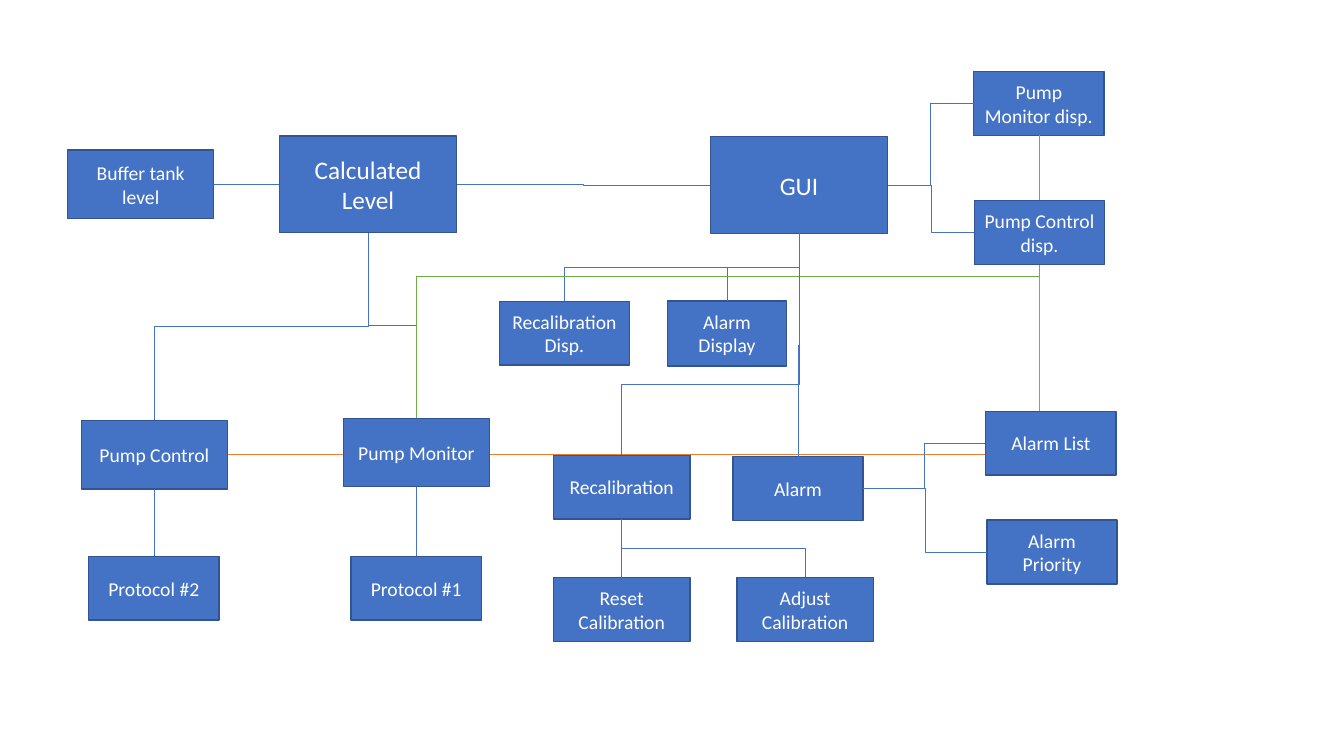
from pptx import Presentation
from pptx.dml.color import RGBColor
from pptx.enum.shapes import MSO_CONNECTOR, MSO_SHAPE
from pptx.enum.text import MSO_ANCHOR, PP_ALIGN
from pptx.oxml.ns import qn
from pptx.util import Inches, Pt
from lxml.etree import SubElement
from dataclasses import dataclass


@dataclass(frozen=True)
class Theme:
    font: str = "Calibri"
    box: str = "4472C4"
    border: str = "325491"
    text: str = "FFFFFF"
    blue: str = "4472C4"
    orange: str = "ED7D31"
    green: str = "70AD47"
    heading_size: int = 18
    label_size: int = 14
    border_width: float = 1
    link_width: float = 0.5


THEME = Theme()
TOP, LEFT, BOTTOM, RIGHT = range(4)

# Box sizes as percentages of the slide's width and height
MAIN, WIDE, SMALL = (13.2, 12.8), (10.88, 9.07), (9.7, 8.44)
CALIBRATION, DISPLAY = (10.15, 8.44), (8.88, 8.6)

# Name: (text, left %, top %, size)
BOXES = {
    "level": ("Calculated Level", 20.78, 18, MAIN),
    "gui": ("GUI", 52.85, 18.08, MAIN),
    "tank": ("Buffer tank\nlevel", 5.03, 19.87, WIDE),
    "alarm display": ("Alarm Display", 49.65, 39.8, DISPLAY),
    "monitor display": ("Pump Monitor disp.", 72.45, 9.47, SMALL),
    "recalibration display": ("Recalibration Disp.", 37.15, 39.87, SMALL),
    "control": ("Pump Control", 6.05, 55.6, WIDE),
    "protocol 1": ("Protocol #1", 26.13, 73.6, SMALL),
    "protocol 2": ("Protocol #2", 6.6, 73.6, SMALL),
    "alarm": ("Alarm", 54.53, 60.4, SMALL),
    "priority": ("Alarm Priority", 73.43, 68.8, SMALL),
    "recalibration": ("Recalibration", 41.18, 60.2, CALIBRATION),
    "reset": ("Reset Calibration", 41.18, 76.4, CALIBRATION),
    "adjust": ("Adjust Calibration", 54.83, 76.4, CALIBRATION),
    "monitor": ("Pump Monitor", 25.55, 55.33, WIDE),
    "alarm list": ("Alarm List", 73.35, 54.4, SMALL),
    "control display": ("Pump Control disp.", 72.5, 26.53, SMALL),
}
FRONT_BOXES = ("monitor", "alarm list", "control display")

# From box, side, to box, side, format where it differs
LINKS = [
    ("tank", RIGHT, "level", LEFT, {"straight": True}),
    ("control", TOP, "level", BOTTOM, {}),
    ("monitor", TOP, "level", BOTTOM, {}),
    ("control", BOTTOM, "protocol 2", TOP, {}),
    ("protocol 1", TOP, "monitor", BOTTOM, {}),
    ("control", RIGHT, "control display", BOTTOM,
     {"color": THEME.orange, "one_bend": True}),
    ("level", RIGHT, "gui", LEFT, {}),
    ("recalibration display", TOP, "gui", BOTTOM, {}),
    ("alarm display", TOP, "gui", BOTTOM, {}),
    ("monitor display", LEFT, "gui", RIGHT, {}),
    ("control display", LEFT, "gui", RIGHT, {}),
    ("alarm list", LEFT, "alarm", RIGHT, {}),
    ("priority", LEFT, "alarm", RIGHT, {}),
    ("adjust", TOP, "recalibration", BOTTOM, {}),
    ("reset", TOP, "recalibration", BOTTOM, {}),
    ("monitor", TOP, "monitor display", BOTTOM, {"color": THEME.green}),
    ("alarm", TOP, "gui", BOTTOM, {}),
    ("recalibration", TOP, "gui", BOTTOM, {"bend": 0.32}),
]


def set_attributes(target, values):
    for name, value in values.items():
        setattr(target, name, value)


def color_line(line, color, width):
    line.color.rgb = RGBColor.from_string(color)
    line.width = Pt(width)


def add_box(presentation, slide, text, left, top, size):
    column, row = presentation.slide_width / 100, presentation.slide_height / 100
    shape = slide.shapes.add_shape(
        MSO_SHAPE.RECTANGLE, round(left * column), round(top * row),
        round(size[0] * column), round(size[1] * row))
    shape.shadow.inherit = False
    shape.fill.solid()
    shape.fill.fore_color.rgb = RGBColor.from_string(THEME.box)
    color_line(shape.line, THEME.border, THEME.border_width)
    frame = shape.text_frame
    set_attributes(frame, {"text": text, "word_wrap": True,
                           "vertical_anchor": MSO_ANCHOR.MIDDLE})
    points = THEME.heading_size if size == MAIN else THEME.label_size
    for paragraph in frame.paragraphs:
        paragraph.alignment = PP_ALIGN.CENTER
        set_attributes(paragraph.runs[0].font,
                       {"name": THEME.font, "size": Pt(points)})
        paragraph.runs[0].font.color.rgb = RGBColor.from_string(THEME.text)
    return shape


def turn_upright(connector):
    """Make an elbow leave its first box vertically."""
    begin_x, begin_y = connector.begin_x, connector.begin_y
    across, down = connector.end_x - begin_x, connector.end_y - begin_y
    width, height = abs(down), abs(across)
    set_attributes(connector, {
        "left": round(begin_x + (across - width) / 2),
        "top": round(begin_y + (down - height) / 2),
        "width": width, "height": height})
    transform = connector._element.spPr.find(qn("a:xfrm"))
    transform.set("rot", str((90 if down > 0 else 270) * 60000))
    transform.set("flipH", "0")
    transform.set("flipV", "1" if across * down > 0 else "0")


def add_link(slide, start, start_side, end, end_side, color=THEME.blue,
             straight=False, one_bend=False, bend=None):
    kind = MSO_CONNECTOR.STRAIGHT if straight else MSO_CONNECTOR.ELBOW
    connector = slide.shapes.add_connector(kind, 0, 0, 0, 0)
    connector.begin_connect(start, start_side)
    connector.end_connect(end, end_side)
    if start_side in (TOP, BOTTOM):
        turn_upright(connector)
    color_line(connector.line, color, THEME.link_width)
    properties = connector._element.spPr
    SubElement(properties, qn("a:effectLst"))
    geometry = properties.find(qn("a:prstGeom"))
    if one_bend:
        geometry.set("prst", "bentConnector2")
    if bend is not None:
        guide = SubElement(geometry.find(qn("a:avLst")), qn("a:gd"))
        guide.set("name", "adj1")
        guide.set("fmla", f"val {round(bend * 100000)}")


def main():
    presentation = Presentation()
    set_attributes(presentation, {"slide_width": Inches(13.33),
                                  "slide_height": Inches(7.5)})
    slide = presentation.slides.add_slide(presentation.slide_layouts[6])

    # Boxes
    boxes = {name: add_box(presentation, slide, *box)
             for name, box in BOXES.items()}

    # Links between boxes
    for start, start_side, end, end_side, options in LINKS:
        add_link(slide, boxes[start], start_side, boxes[end], end_side, **options)

    # Boxes that cover passing links
    for name in FRONT_BOXES:
        slide.shapes._spTree.append(boxes[name]._element)

    presentation.save("out.pptx")


if __name__ == "__main__":
    main()
